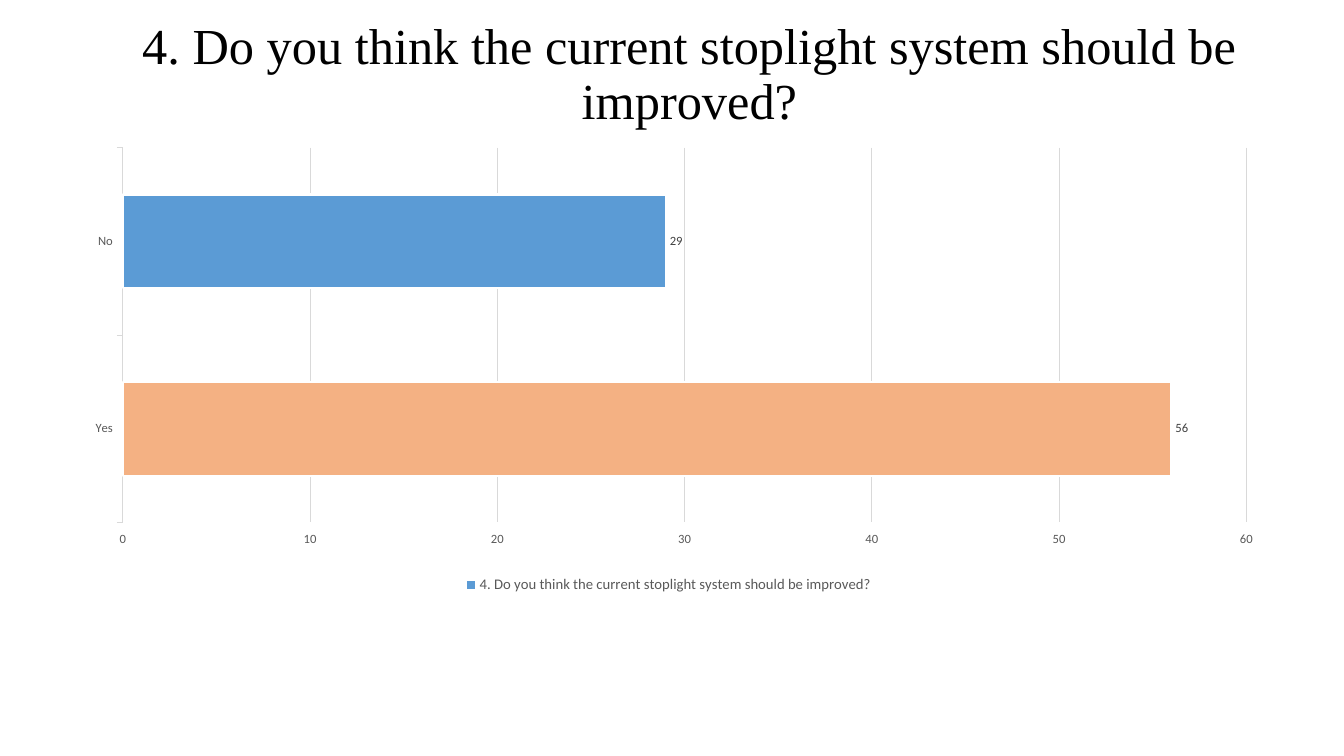
from lxml import etree
from pptx import Presentation
from pptx import util as u
from pptx.chart import data as chart_data
from pptx.dml import color
from pptx.enum import chart as ch, text
from pptx.oxml import ns

QUESTION = "4. Do you think the current stoplight system should be improved?"
ANSWERS = [("Yes", 56, "F4B183"), ("No", 29, "5B9BD5")]
GREY, DARK_GREY, PALE_GREY = "595959", "404040", "D9D9D9"
PLOT_AREA = {"x": 0.039, "y": 0, "w": 0.948, "h": 0.833}


def rgb(value):
    return color.RGBColor.from_string(value)


def set_font(font, name, size, value):
    font.name = name
    font.size = u.Pt(size)
    font.color.rgb = rgb(value)


def set_line(line, value, width):
    line.color.rgb = rgb(value)
    line.width = u.Pt(width)


def set_plot_layout(chart, fractions):
    area = chart.element.find(".//" + ns.qn("c:plotArea"))
    for old in area.findall(ns.qn("c:layout")):
        area.remove(old)
    layout = etree.Element(ns.qn("c:layout"))
    manual = etree.SubElement(layout, ns.qn("c:manualLayout"))
    settings = {"layoutTarget": "inner", "xMode": "edge", "yMode": "edge", **fractions}
    for tag, value in settings.items():
        etree.SubElement(manual, ns.qn("c:" + tag)).set("val", str(value))
    area.insert(0, layout)


def add_title(page, left, top, width, height):
    box = page.shapes.add_textbox(left, top, width, height)
    frame = box.text_frame
    frame.word_wrap = True
    frame.vertical_anchor = text.MSO_ANCHOR.MIDDLE
    para = frame.paragraphs[0]
    para.alignment = text.PP_ALIGN.CENTER
    para.line_spacing = 0.9
    span = para.add_run()
    span.text = QUESTION
    set_font(span.font, "Times New Roman", 36, "000000")


def style_axes(chart):
    for axis in (chart.category_axis, chart.value_axis):
        axis.major_tick_mark = ch.XL_TICK_MARK.OUTSIDE
        axis.minor_tick_mark = ch.XL_TICK_MARK.NONE
        set_font(axis.tick_labels.font, "Calibri", 9, GREY)
    set_line(chart.category_axis.format.line, PALE_GREY, 0.75)
    scale = chart.value_axis
    scale.minimum_scale, scale.maximum_scale, scale.major_unit = 0, 60, 10
    scale.format.line.fill.background()
    scale.has_major_gridlines = True
    set_line(scale.major_gridlines.format.line, PALE_GREY, 0.75)


def style_bars(chart):
    plot = chart.plots[0]
    plot.gap_width = 100
    plot.vary_by_categories = False
    series = plot.series[0]
    series.invert_if_negative = False
    series.format.fill.solid()
    series.format.fill.fore_color.rgb = rgb("5B9BD5")
    set_line(series.format.line, "FFFFFF", 1.5)
    for index, (_, _, fill) in enumerate(ANSWERS):
        bar = series.points[index].format
        bar.fill.solid()
        bar.fill.fore_color.rgb = rgb(fill)
        set_line(bar.line, "FFFFFF", 1.5)
    labels = series.data_labels
    labels.show_value = True
    labels.position = ch.XL_LABEL_POSITION.OUTSIDE_END
    set_font(labels.font, "Calibri", 9, DARK_GREY)


def add_answer_chart(page, left, top, width, height):
    answers = chart_data.CategoryChartData()
    answers.categories = [name for name, _, _ in ANSWERS]
    answers.add_series(QUESTION, [count for _, count, _ in ANSWERS])
    chart = page.shapes.add_chart(
        ch.XL_CHART_TYPE.BAR_CLUSTERED, left, top, width, height, answers
    ).chart
    set_font(chart.font, "Calibri", 10, "000000")
    chart.has_title = False
    chart.has_legend = True
    chart.legend.position = ch.XL_LEGEND_POSITION.BOTTOM
    chart.legend.include_in_layout = False
    set_font(chart.legend.font, "Calibri", 10.5, GREY)
    style_axes(chart)
    style_bars(chart)
    set_plot_layout(chart, PLOT_AREA)


def main():
    deck = Presentation()
    deck.slide_width, deck.slide_height = u.Cm(33.87), u.Cm(19.05)
    page = deck.slides.add_slide(deck.slide_layouts[6])
    add_title(page, u.Cm(2.77), u.Cm(0.36), u.Cm(29.21), u.Cm(3.1))
    add_answer_chart(page, u.Cm(1.93), u.Cm(3.71), u.Cm(29.87), u.Cm(11.35))
    deck.save("out.pptx")


if __name__ == "__main__":
    main()
